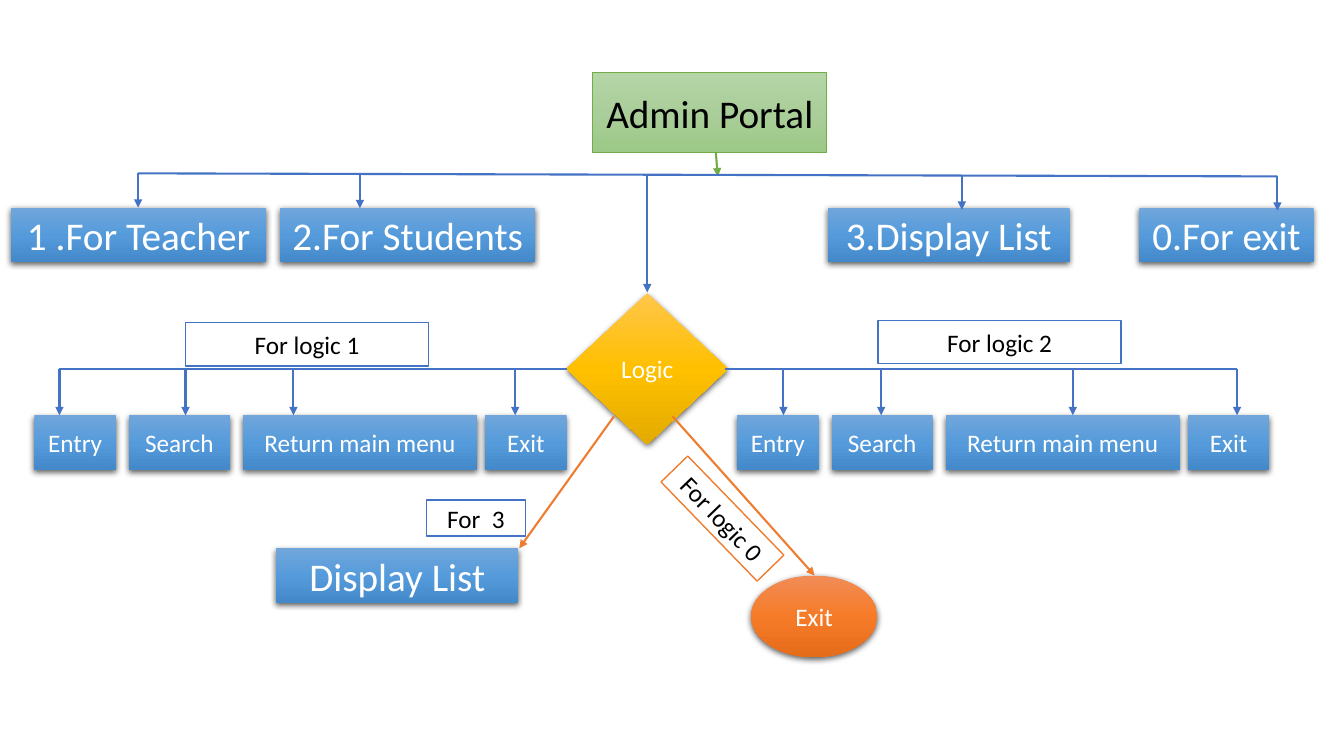
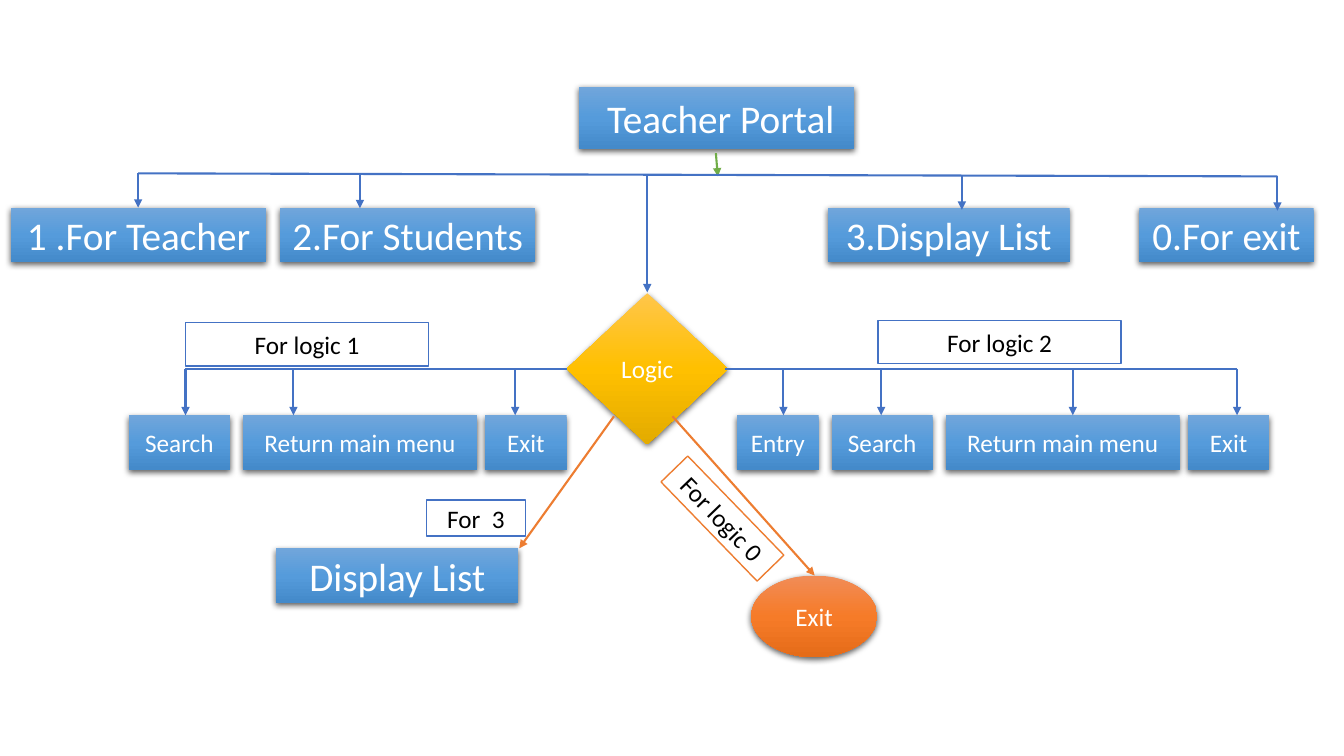
from dataclasses import dataclass
from lxml.etree import SubElement as Sub
from pptx import Presentation
from pptx.dml.color import RGBColor as Rgb
from pptx.enum.shapes import MSO_CONNECTOR as Link, MSO_SHAPE as Form
from pptx.enum.text import MSO_ANCHOR as Anchor, MSO_AUTO_SIZE as Fit, PP_ALIGN as Align
from pptx.oxml.ns import qn
from pptx.util import Inches, Pt


@dataclass(frozen=True)
class Theme:
    font: str = "Calibri"
    big: int = 28
    small: int = 18
    rule: float = 1.5
    white: str = "FFFFFF"
    black: str = "000000"
    line: str = "4472C4"
    warm: str = "ED7D31"
    leaf: str = "70AD47"
    blue: tuple = ("71A6DB", "559BDB", "448ACA")
    gold: tuple = ("FFC64B", "FFC000", "E3AB00")
    rust: tuple = ("F18C57", "F67B28", "E56C19")
    green: tuple = ("B5D5A7", "AACE9A", "9CC987")


T = Theme()


# Shared drawing tools
def write(shape, text, size=T.small, color=T.white):
    frame = shape.text_frame
    frame.auto_size = Fit.NONE
    frame.word_wrap = True
    frame.margin_left = frame.margin_right = 0
    frame.margin_top = frame.margin_bottom = 0
    frame.vertical_anchor = Anchor.MIDDLE
    para = frame.paragraphs[0]
    para.alignment = Align.CENTER
    run = para.add_run()
    run.text = text
    run.font.name, run.font.size = T.font, Pt(size)
    run.font.color.rgb = Rgb.from_string(color)


def shade(shape, tones):
    shape.fill.gradient()
    shape.fill.gradient_angle = 270
    stops = shape._element.spPr.find(".//" + qn("a:gsLst"))
    for stop in list(stops):
        stops.remove(stop)
    for num, tone in enumerate(tones):
        stop = Sub(stops, qn("a:gs"), pos=str(num * 50000))
        Sub(stop, qn("a:srgbClr"), val=tone)


def cast(shape):
    list_ = shape._element.spPr.find(qn("a:effectLst"))
    drop = Sub(list_, qn("a:outerShdw"), blurRad=str(Pt(4.5)), dist=str(Pt(1.5)),
               dir="5400000", algn="ctr", rotWithShape="0")
    tint = Sub(drop, qn("a:srgbClr"), val=T.black)
    Sub(tint, qn("a:alpha"), val="63000")


def paint(shape, tones=T.blue, edge=None, width=1):
    if isinstance(tones, tuple):
        shade(shape, tones)
    else:
        shape.fill.solid()
        shape.fill.fore_color.rgb = Rgb.from_string(tones)
    if edge:
        shape.line.color.rgb = Rgb.from_string(edge)
        shape.line.width = Pt(width)
    else:
        shape.line.fill.background()
    shape.shadow.inherit = False
    if not edge:
        cast(shape)


def node(slide, text, box, form=Form.RECTANGLE, tones=T.blue, size=T.small):
    shape = slide.shapes.add_shape(form, *map(Inches, box))
    paint(shape, tones)
    write(shape, text, size=size)


def label(slide, text, box, edge=T.line, turn=0):
    shape = slide.shapes.add_shape(Form.RECTANGLE, *map(Inches, box))
    shape.rotation = turn
    paint(shape, T.white, edge)
    write(shape, text, color=T.black)


def link(slide, start, end, color=T.line, head=True):
    wire = slide.shapes.add_connector(Link.STRAIGHT, *map(Inches, (*start, *end)))
    wire.line.color.rgb = Rgb.from_string(color)
    wire.line.width = Pt(T.rule)
    if head:
        Sub(wire.line._get_or_add_ln(), qn("a:tailEnd"), type="triangle")
    Sub(wire._element.spPr, qn("a:effectLst"))


# Portal name in the title placeholder
def portal(slide, text, box, color=T.white, **look):
    title = slide.shapes.title
    title.left, title.top, title.width, title.height = map(Inches, box)
    paint(title, **look)
    write(title, text, size=T.big, color=color)
    link(slide, (7.1, 1.52), (7.12, 1.75), T.leaf)


# Main choices under a slightly sloping rail: text, left, width, arrow
CHOICES = [("1 .For Teacher", 0, 2.53, 1.26), ("2.For Students", 2.67, 2.53, 3.46),
           ("3.Display List", 8.1, 2.4, 9.43), ("0.For exit", 11.19, 1.73, 12.56)]


def choices(slide, left, top):
    first, last = CHOICES[0][3], CHOICES[-1][3]
    link(slide, (left + first, top), (left + last, top + 0.03), head=False)
    for text, shift, width, at in CHOICES:
        node(slide, text, (left + shift, top + 0.34, width, 0.54), size=T.big)
        y = top + 0.03 * (at - first) / (last - first)
        link(slide, (left + at, y), (left + at, y + 0.34))
    link(slide, (6.42, top + 0.02), (6.42, 2.9))


# Steps of one branch: text, left, width
STEPS = [("Entry", 0, 0.81), ("Search", 0.94, 1), ("Return main menu", 2.07, 2.32),
         ("Exit", 4.47, 0.81)]


def branch(slide, left, top, name, tag, root, drops, skip=0):
    """Rail from the root to the far arrow, with a box under each arrow."""
    drops = drops[skip:]
    far = max(drops, key=lambda at: abs(left + at - root))
    link(slide, (root, top), (left + far, top), head=False)
    label(slide, name, (*tag, 2.41, 0.43))
    for (text, shift, width), at in zip(STEPS[skip:], drops):
        node(slide, text, (left + shift, top + 0.46, width, 0.54))
        link(slide, (left + at, top), (left + at, top + 0.46))


# Decision with its two lower exits
def logic(slide, left, top):
    node(slide, "Logic", (left, top, 1.6, 1.5), form=Form.DIAMOND, tones=T.gold)
    low = top + 1.22
    node(slide, "Display List", (left - 2.88, top + 2.53, 2.4, 0.54), size=T.big)
    link(slide, (left + 0.47, low), (left - 0.47, top + 2.53), T.warm)
    label(slide, "For  3", (left - 1.39, top + 2.05, 0.98, 0.36))
    node(slide, "Exit", (left + 1.83, top + 2.8, 1.25, 0.81), form=Form.OVAL,
         tones=T.rust)
    link(slide, (left + 1.05, low), (left + 2.46, top + 2.8), T.warm)
    label(slide, "For logic 0", (left + 0.86, top + 2.05, 1.37, 0.37),
          edge=T.warm, turn=45.9)


def chart(deck, text, box, skip=0, **look):
    slide = deck.slides.add_slide(deck.slide_layouts[5])
    portal(slide, text, box, **look)
    choices(slide, 0.11, 1.72)
    logic(slide, 5.62, 2.91)
    branch(slide, 0.34, 3.66, "For logic 1", (1.84, 3.2), 5.62,
           [0.25, 1.5, 2.57, 4.77], skip)
    branch(slide, 7.31, 3.66, "For logic 2", (8.71, 3.18), 7.19,
           [0.46, 1.43, 3.33, 4.96])


deck = Presentation()
deck.slide_width, deck.slide_height = Inches(13.33), Inches(7.5)
chart(deck, "Admin Portal", (5.88, 0.72, 2.32, 0.79), color=T.black,
      tones=T.green, edge=T.leaf, width=0.5)
chart(deck, " Teacher Portal", (5.74, 0.86, 2.73, 0.62), skip=1)
deck.save("out.pptx")
